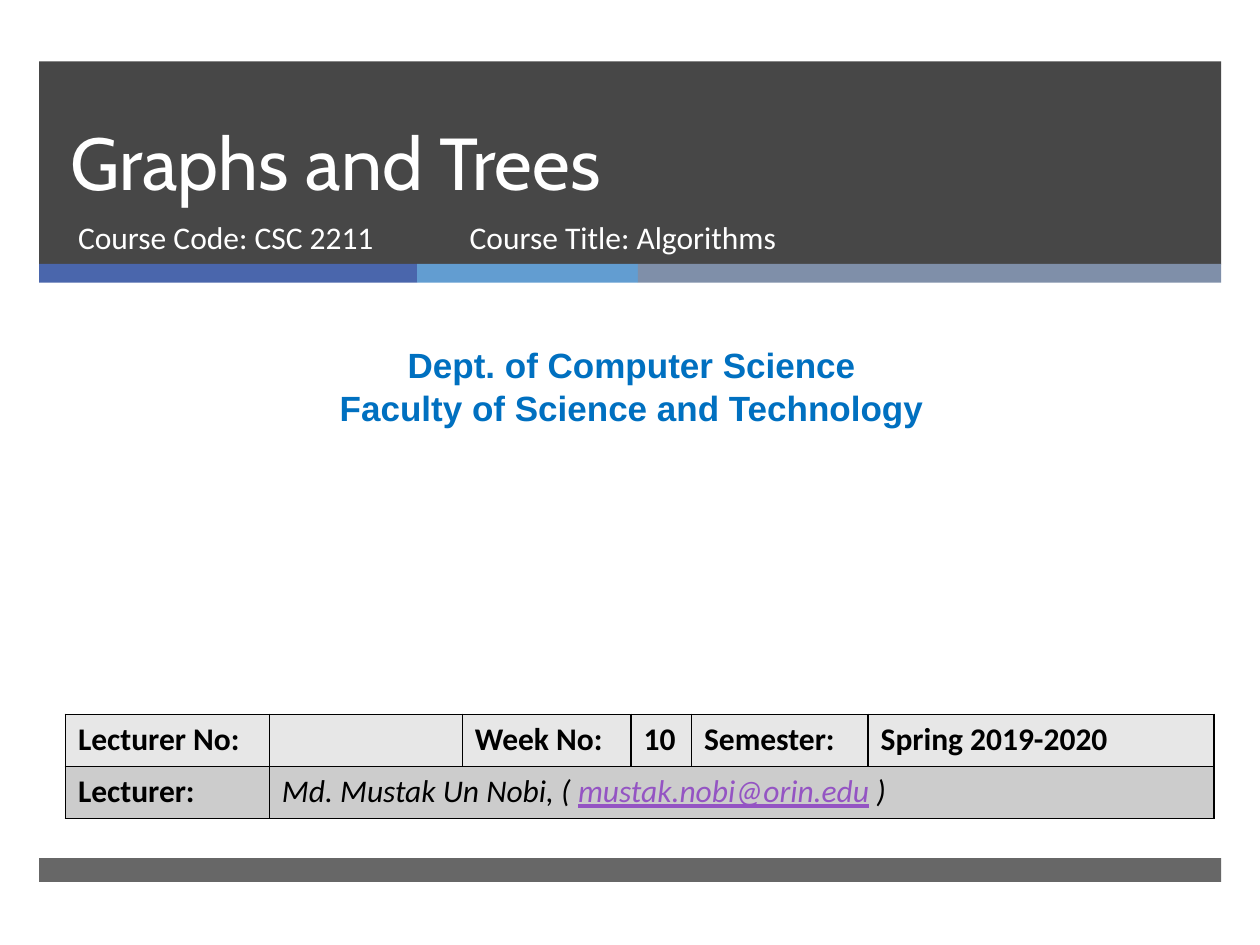
"""Build the opening slide of a lecture on graphs and trees."""
from dataclasses import dataclass
from itertools import accumulate

from lxml import etree
from pptx import Presentation
from pptx.dml.color import RGBColor
from pptx.enum import shapes, text
from pptx.oxml import ns
from pptx.util import Cm, Pt

WHITE = RGBColor(0xFF, 0xFF, 0xFF)
BLACK = RGBColor(0x00, 0x00, 0x00)
CHARCOAL = RGBColor(0x47, 0x47, 0x47)
GREY = RGBColor(0x67, 0x67, 0x67)
INDIGO = RGBColor(0x4A, 0x66, 0xAC)
SKY = RGBColor(0x62, 0x9D, 0xD1)
SLATE = RGBColor(0x7F, 0x8F, 0xA9)
BLUE = RGBColor(0x00, 0x70, 0xC0)
PURPLE = RGBColor(0x94, 0x54, 0xC3)
LIGHT_ROW = RGBColor(0xE7, 0xE7, 0xE7)
DARK_ROW = RGBColor(0xCC, 0xCC, 0xCC)

BAND_LEFT, BAND_WIDTH = 0.79, 23.83
COLUMN_WIDTHS = (4.11, 3.89, 3.4, 1.22, 3.56, 6.97)
ROW_HEIGHT = 1.05
COURSE_TOP, COURSE_HEIGHT = 4.27, 1.35


@dataclass(frozen=True)
class Box:
    left: float
    top: float
    width: float
    height: float

    def lengths(self) -> tuple:
        return Cm(self.left), Cm(self.top), Cm(self.width), Cm(self.height)


@dataclass(frozen=True)
class Bar:
    box: Box
    color: RGBColor


STRIP_WIDTHS = (7.62, 4.45, 11.76)
STRIP_LEFTS = accumulate(STRIP_WIDTHS[:-1], initial=BAND_LEFT)
BARS = [
    Bar(Box(BAND_LEFT, 1.24, BAND_WIDTH, 4.09), CHARCOAL),
    *(Bar(Box(left, 5.32, width, 0.38), color)
      for left, width, color in zip(STRIP_LEFTS, STRIP_WIDTHS, (INDIGO, SKY, SLATE))),
    Bar(Box(BAND_LEFT, 17.3, BAND_WIDTH, 0.48), GREY),
]


def add_run(paragraph, content: str, *, size: float = 18, font: str = "Calibri",
            color: RGBColor = BLACK, bold: bool = False, italic: bool = False,
            underline: bool = False) -> None:
    """Append a formatted run to a paragraph."""
    run = paragraph.add_run()
    run.text = content
    run.font.size, run.font.name = Pt(size), font
    run.font.bold, run.font.italic, run.font.underline = bold, italic, underline
    run.font.color.rgb = color


def draw_bar(slide, bar: Bar) -> None:
    """Draw a plain filled rectangle."""
    shape = slide.shapes.add_shape(shapes.MSO_SHAPE.RECTANGLE, *bar.box.lengths())
    shape.shadow.inherit = False
    shape.fill.solid()
    shape.fill.fore_color.rgb = bar.color
    shape.line.fill.background()


def write_lines(shape, lines: list[str], *, align=text.PP_ALIGN.LEFT,
                anchor=text.MSO_ANCHOR.TOP, spacing=None, **style) -> None:
    """Write one paragraph per line into a shape."""
    frame = shape.text_frame
    frame.word_wrap = True
    frame.auto_size = text.MSO_AUTO_SIZE.NONE
    frame.vertical_anchor = anchor
    for index, line in enumerate(lines):
        paragraph = frame.add_paragraph() if index else frame.paragraphs[0]
        paragraph.alignment = align
        paragraph.space_before = Pt(0)
        paragraph.line_spacing = spacing
        add_run(paragraph, line, **style)


def place_placeholder(shape, box: Box) -> None:
    """Position a placeholder and bring it to the front."""
    shape.left, shape.top, shape.width, shape.height = box.lengths()
    shape.element.getparent().append(shape.element)


def format_cell(cell, color: RGBColor) -> None:
    """Fill a cell and give it black one-point borders."""
    cell.fill.solid()
    cell.fill.fore_color.rgb = color
    properties = cell._tc.get_or_add_tcPr()
    for index, side in enumerate(("lnL", "lnR", "lnT", "lnB")):
        line = etree.Element(ns.qn(f"a:{side}"), w=str(Pt(1)))
        fill = etree.SubElement(line, ns.qn("a:solidFill"))
        etree.SubElement(fill, ns.qn("a:srgbClr"), val=str(BLACK))
        properties.insert(index, line)


def draw_table(slide) -> None:
    """Draw the lecture details table."""
    box = Box(1.32, 14.4, sum(COLUMN_WIDTHS), 2 * ROW_HEIGHT)
    table = slide.shapes.add_table(2, len(COLUMN_WIDTHS), *box.lengths()).table
    for column, width in zip(table.columns, COLUMN_WIDTHS):
        column.width = Cm(width)
    for row, color in zip(table.rows, (LIGHT_ROW, DARK_ROW)):
        row.height = Cm(ROW_HEIGHT)
        for cell in row.cells:
            format_cell(cell, color)
    table.cell(1, 1).merge(table.cell(1, len(COLUMN_WIDTHS) - 1))
    labels = {(0, 0): "Lecturer No:", (0, 2): "Week No:", (0, 3): "10",
              (0, 4): "Semester:", (0, 5): "Spring 2019-2020", (1, 0): "Lecturer:"}
    for position, label in labels.items():
        add_run(table.cell(*position).text_frame.paragraphs[0], label, bold=True)
    table.cell(0, 1).text_frame.paragraphs[0].font.size = Pt(18)
    lecturer = table.cell(1, 1).text_frame.paragraphs[0]
    add_run(lecturer, "Md. Mustak Un Nobi, ( ", italic=True)
    add_run(lecturer, "mustak.nobi@orin.edu", italic=True, color=PURPLE, underline=True)
    add_run(lecturer, " )", italic=True)


def main() -> None:
    """Assemble and save the presentation."""
    presentation = Presentation()
    presentation.slide_width, presentation.slide_height = Cm(25.4), Cm(19.05)
    slide = presentation.slides.add_slide(presentation.slide_layouts[0])
    for bar in BARS:
        draw_bar(slide, bar)

    title, subtitle = slide.shapes.title, slide.placeholders[1]
    place_placeholder(title, Box(1.17, 1.24, 21.69, 3.02))
    write_lines(title, ["Graphs and Trees"], anchor=text.MSO_ANCHOR.BOTTOM,
                spacing=Pt(46), size=42, font="Cabin", color=WHITE)
    place_placeholder(subtitle, Box(1.32, COURSE_TOP, 7.75, COURSE_HEIGHT))
    write_lines(subtitle, ["Course Code: CSC 2211"], color=WHITE)

    department = slide.shapes.add_textbox(*Box(0.2, 6.81, 25.07, 1.96).lengths())
    write_lines(department, ["Dept. of Computer Science", "Faculty of Science and Technology"],
                align=text.PP_ALIGN.CENTER, size=20, font="Arial", color=BLUE, bold=True)
    draw_table(slide)
    course = slide.shapes.add_textbox(*Box(9.22, COURSE_TOP, 11.56, COURSE_HEIGHT).lengths())
    write_lines(course, ["Course Title: Algorithms"], color=WHITE)
    presentation.save("out.pptx")


if __name__ == "__main__":
    main()
